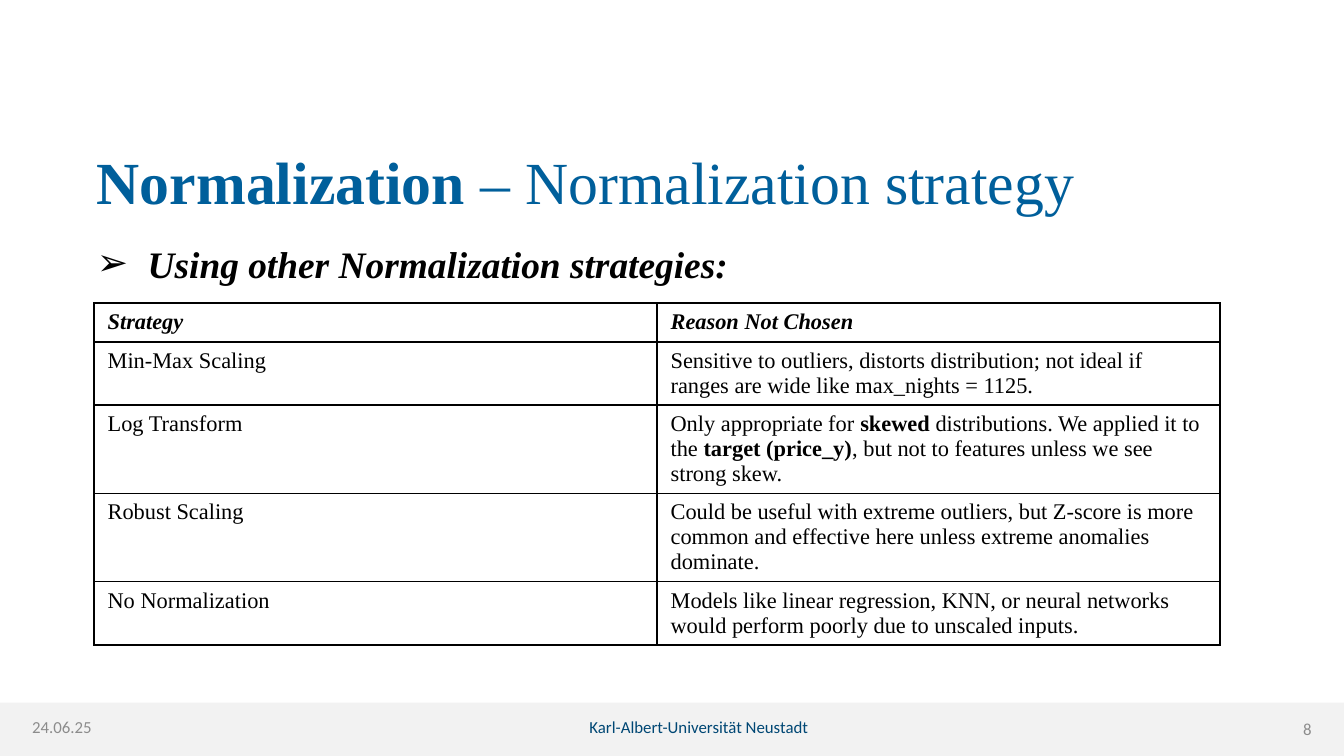
from dataclasses import dataclass

from lxml import etree
from pptx import Presentation
from pptx.dml.color import RGBColor
from pptx.enum.shapes import MSO_SHAPE
from pptx.enum.text import MSO_ANCHOR, MSO_AUTO_SIZE, PP_ALIGN
from pptx.oxml.ns import qn
from pptx.util import Cm, Pt

RECTANGLE = MSO_SHAPE.RECTANGLE
TOP = MSO_ANCHOR.TOP
NO_AUTOFIT = MSO_AUTO_SIZE.NONE
LEFT, CENTER, RIGHT = PP_ALIGN.LEFT, PP_ALIGN.CENTER, PP_ALIGN.RIGHT
TITLE_AND_CONTENT = 1


@dataclass(frozen=True)
class Theme:
    serif: str = "Times New Roman"
    sans: str = "Calibri"
    title_color: str = "005F9B"
    text_color: str = "000000"
    bar_color: str = "F2F2F2"
    footer_color: str = "004774"
    muted_color: str = "8C8C8C"
    title_size: int = 32
    lead_size: int = 20
    table_size: int = 12
    footer_size: int = 9


THEME = Theme()

SLIDE_WIDTH, SLIDE_HEIGHT = 25.4, 14.29
BAR_TOP = 13.28
COLUMN_WIDTH = 10.64
ROW_HEIGHTS = (0.73, 1.19, 1.67, 1.67, 1.19)

# Text between double asterisks is bold.
STRATEGIES = (
    ("Strategy", "Reason Not Chosen"),
    ("Min-Max Scaling",
     "Sensitive to outliers, distorts distribution; not ideal if ranges are "
     "wide like max_nights = 1125."),
    ("Log Transform",
     "Only appropriate for **skewed** distributions. We applied it to the "
     "**target (price_y)**, but not to features unless we see strong skew."),
    ("Robust Scaling",
     "Could be useful with extreme outliers, but Z-score is more common and "
     "effective here unless extreme anomalies dominate."),
    ("No Normalization",
     "Models like linear regression, KNN, or neural networks would perform "
     "poorly due to unscaled inputs."),
)

# text, left, top, width, alignment, colour
FOOTERS = (
    ("Karl-Albert-Universität Neustadt", 4.8, 13.54, 16.81, CENTER,
     THEME.footer_color),
    ("24.06.25", 0.61, 13.54, 2.87, LEFT, THEME.muted_color),
    ("8", 23.11, 13.59, 1.68, RIGHT, THEME.muted_color),
)


def style_run(run, font, size, color, bold=False, italic=False):
    run.font.name = font
    run.font.size = Pt(size)
    run.font.color.rgb = RGBColor.from_string(color)
    run.font.bold = bold
    run.font.italic = italic


def add_marked_runs(paragraph, marked_text, font, size, color):
    """Add runs, making the parts between double asterisks bold."""
    for index, part in enumerate(marked_text.split("**")):
        if part:
            run = paragraph.add_run()
            run.text = part
            style_run(run, font, size, color, bold=index % 2 == 1)


def place(shape, left, top, width, height):
    shape.left, shape.top = Cm(left), Cm(top)
    shape.width, shape.height = Cm(width), Cm(height)


def prepare_frame(frame):
    """Remove insets and autofit, and start the text at the top."""
    frame.margin_left = frame.margin_right = 0
    frame.margin_top = frame.margin_bottom = 0
    frame.word_wrap = True
    frame.auto_size = NO_AUTOFIT
    frame.vertical_anchor = TOP


def fill_title(title):
    place(title, 1.83, 2.74, 21.18, 1.19)
    prepare_frame(title.text_frame)
    heading = title.text_frame.paragraphs[0]
    heading.alignment = LEFT
    add_marked_runs(heading, "**Normalization **– Normalization strategy",
                    THEME.serif, THEME.title_size, THEME.title_color)


def fill_lead(body):
    place(body, 1.83, 4.55, 22.63, 7.8)
    prepare_frame(body.text_frame)
    lead = body.text_frame.paragraphs[0]
    lead.text = "Using other Normalization strategies:"
    lead.space_before = Pt(0)
    style_run(lead.runs[0], THEME.serif, THEME.lead_size, THEME.text_color,
              bold=True, italic=True)
    properties = lead._p.get_or_add_pPr()
    indent = Cm(0.96)
    properties.set("marL", str(indent))
    properties.set("indent", str(-indent))
    etree.SubElement(properties, qn("a:buFont"), typeface="Wingdings")
    etree.SubElement(properties, qn("a:buChar"), char="➢")
    properties.find(qn("a:buFont")).set("typeface", "Arial")


def add_borders(cell):
    properties = cell._tc.get_or_add_tcPr()
    for side in ("lnL", "lnR", "lnT", "lnB"):
        line = etree.SubElement(properties, qn(f"a:{side}"), w=str(Pt(1)))
        fill = etree.SubElement(line, qn("a:solidFill"))
        etree.SubElement(fill, qn("a:srgbClr"), val=THEME.text_color)


def add_strategy_table(slide):
    table = slide.shapes.add_table(
        len(STRATEGIES), 2, Cm(1.78), Cm(5.73),
        Cm(2 * COLUMN_WIDTH), Cm(sum(ROW_HEIGHTS))).table
    table.first_row = table.horz_banding = False
    for column in table.columns:
        column.width = Cm(COLUMN_WIDTH)
    for row, height, texts in zip(table.rows, ROW_HEIGHTS, STRATEGIES):
        row.height = Cm(height)
        for cell, text in zip(row.cells, texts):
            add_borders(cell)
            cell.fill.background()
            add_marked_runs(cell.text_frame.paragraphs[0], text,
                            THEME.serif, THEME.table_size, THEME.text_color)
    for cell in table.rows[0].cells:
        for run in cell.text_frame.paragraphs[0].runs:
            run.font.bold = run.font.italic = True


def add_footer_bar(slide):
    bar = slide.shapes.add_shape(
        RECTANGLE, 0, Cm(BAR_TOP), Cm(SLIDE_WIDTH),
        Cm(SLIDE_HEIGHT - BAR_TOP))
    bar.shadow.inherit = False
    bar.fill.solid()
    bar.fill.fore_color.rgb = RGBColor.from_string(THEME.bar_color)
    bar.line.fill.background()


def add_footer_text(slide, text, left, top, width, alignment, color):
    box = slide.shapes.add_textbox(Cm(left), Cm(top), Cm(width), Cm(0.4))
    prepare_frame(box.text_frame)
    box.text_frame.text = text
    paragraph = box.text_frame.paragraphs[0]
    paragraph.alignment = alignment
    style_run(paragraph.runs[0], THEME.sans, THEME.footer_size, color)


def main():
    presentation = Presentation()
    presentation.slide_width = Cm(SLIDE_WIDTH)
    presentation.slide_height = Cm(SLIDE_HEIGHT)
    slide = presentation.slides.add_slide(
        presentation.slide_layouts[TITLE_AND_CONTENT])
    fill_title(slide.shapes.title)
    fill_lead(slide.placeholders[1])
    add_footer_bar(slide)
    for footer in FOOTERS:
        add_footer_text(slide, *footer)
    add_strategy_table(slide)
    presentation.save("out.pptx")


if __name__ == "__main__":
    main()
